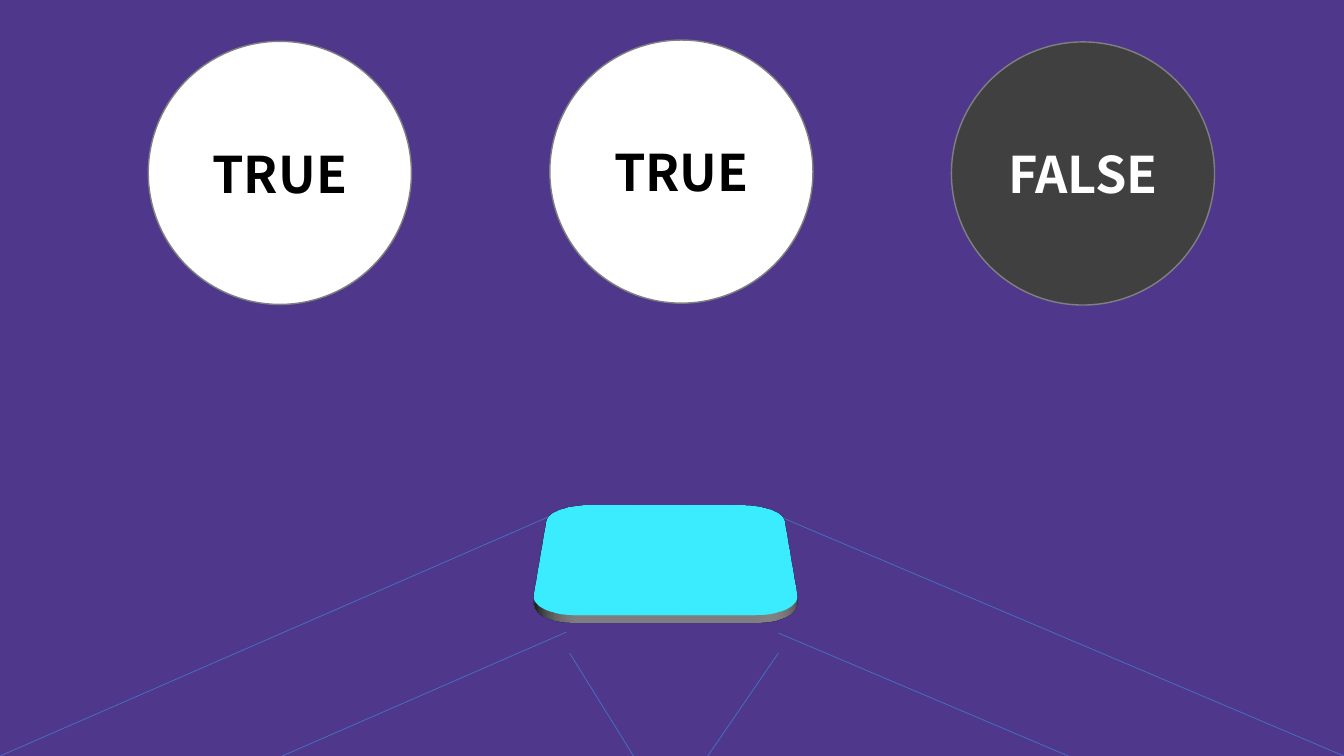
"""Build the TRUE / TRUE / FALSE slide; positions are percentages of the slide's size."""
from typing import NamedTuple

from lxml.etree import SubElement
from pptx import Presentation
from pptx.dml.color import RGBColor
from pptx.enum.shapes import MSO_CONNECTOR, MSO_SHAPE
from pptx.enum.text import MSO_ANCHOR, PP_ALIGN
from pptx.oxml.ns import qn
from pptx.util import Inches, Pt

WIDTH, HEIGHT = Inches(13.33), Inches(7.5)


class Ray(NamedTuple):
    x1: float
    y1: float
    x2: float
    y2: float


class Disc(NamedTuple):
    column: int
    top: float
    text: str
    fill: str
    color: str


class Box(NamedTuple):
    left: float
    top: float
    width: float
    height: float


RAYS = [
    Ray(42.16, 83.6, 0.53, 115.87), Ray(100.53, 115.87, 57.91, 83.73),
    Ray(41.64, 67.73, 0, 100), Ray(100, 100, 57.39, 67.87),
    Ray(50.04, 106.8, 57.91, 86.4), Ray(49.51, 106.8, 42.39, 86.4),
]
DISCS = [
    Disc(2, 5.55, "FALSE", "404040", "FFFFFF"),
    Disc(1, 5.3, "TRUE", "FFFFFF", "000000"),
    Disc(0, 5.47, "TRUE", "FFFFFF", "000000"),
]
DISC_LEFT, DISC_STEP, DISC_SIZE = 11.03, 29.88, 34.8
TILE = Box(40.21, 56.53, 18.6, 34)
TILE_TILT = 295


def px(share: float) -> int:
    return round(WIDTH * share / 100)


def py(share: float) -> int:
    return round(HEIGHT * share / 100)


def rgb(code: str) -> RGBColor:
    return RGBColor.from_string(code)


def add_ray(shapes, ray: Ray) -> None:
    line = shapes.add_connector(
        MSO_CONNECTOR.STRAIGHT, px(ray.x1), py(ray.y1), px(ray.x2), py(ray.y2))
    line.line.color.rgb = rgb("4472C4")
    line.line.width = Pt(0.5)
    SubElement(line._element.spPr, qn("a:effectLst"))


def add_filled(shapes, kind: MSO_SHAPE, box: Box, fill: str, outline: str):
    sp = shapes.add_shape(
        kind, px(box.left), py(box.top), px(box.width), py(box.height))
    sp.shadow.inherit = False
    sp.fill.solid()
    sp.fill.fore_color.rgb = rgb(fill)
    sp.line.color.rgb = rgb(outline)
    sp.line.width = Pt(1)
    return sp


def add_disc(shapes, disc: Disc) -> None:
    box = Box(DISC_LEFT + disc.column * DISC_STEP, disc.top,
              DISC_SIZE * HEIGHT / WIDTH, DISC_SIZE)
    sp = add_filled(shapes, MSO_SHAPE.OVAL, box, disc.fill, "808080")
    tf = sp.text_frame
    tf.vertical_anchor = MSO_ANCHOR.MIDDLE
    p = tf.paragraphs[0]
    p.text = disc.text
    p.alignment = PP_ALIGN.CENTER
    p.font.name = "Noto Sans CJK KR"
    p.font.size = Pt(36)
    p.font.bold = True
    p.font.color.rgb = rgb(disc.color)


def add_tile(shapes) -> None:
    sp = add_filled(shapes, MSO_SHAPE.ROUNDED_RECTANGLE, TILE, "00B0F0", "325491")
    scene = SubElement(sp._element.spPr, qn("a:scene3d"))
    camera = SubElement(scene, qn("a:camera"), prst="perspectiveRelaxed")
    SubElement(camera, qn("a:rot"), lat=str(TILE_TILT * 60000), lon="0", rev="0")
    SubElement(scene, qn("a:lightRig"), rig="threePt", dir="t")
    solid = SubElement(sp._element.spPr, qn("a:sp3d"), extrusionH=str(Pt(6)))
    color = SubElement(solid, qn("a:extrusionClr"))
    SubElement(color, qn("a:srgbClr"), val="FFFFFF")


def main() -> None:
    prs = Presentation()
    prs.slide_width, prs.slide_height = WIDTH, HEIGHT
    s = prs.slides.add_slide(prs.slide_layouts[6])
    s.background.fill.solid()
    s.background.fill.fore_color.rgb = rgb("4F388C")
    for ray in RAYS:
        add_ray(s.shapes, ray)
    disc_false, *discs_true = DISCS
    add_disc(s.shapes, disc_false)
    add_tile(s.shapes)
    for disc in discs_true:
        add_disc(s.shapes, disc)
    prs.save("out.pptx")


if __name__ == "__main__":
    main()
